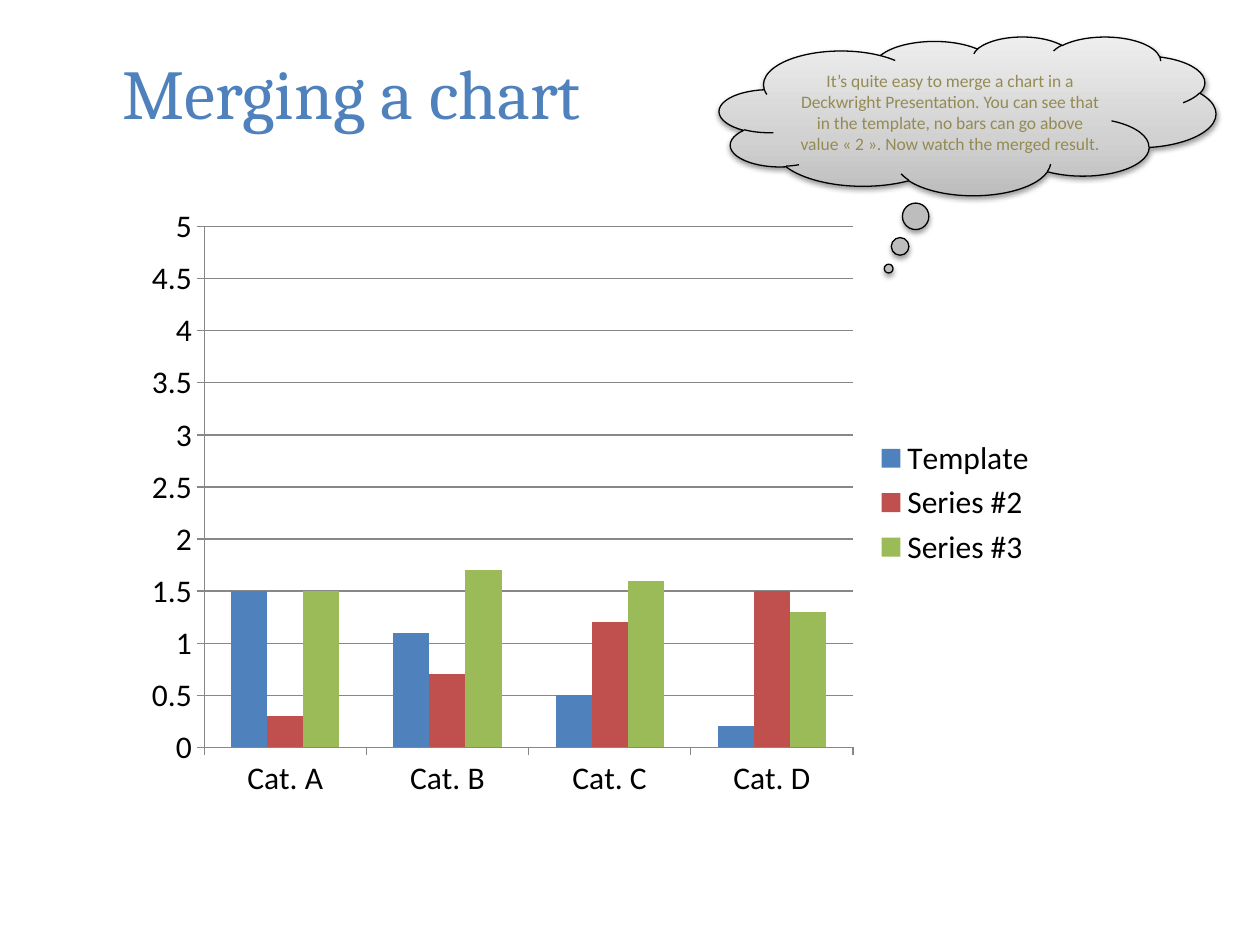
from lxml.etree import SubElement
from pptx import Presentation
from pptx.chart.data import CategoryChartData
from pptx.dml.color import RGBColor
from pptx.enum.chart import XL_CHART_TYPE, XL_LEGEND_POSITION, XL_TICK_MARK
from pptx.enum.shapes import MSO_SHAPE
from pptx.enum.text import MSO_ANCHOR, PP_ALIGN
from pptx.oxml import parse_xml
from pptx.oxml.ns import nsdecls, qn
from pptx.util import Inches, Pt

# Content
TITLE = "Merging a chart"
THOUGHT = ("It’s quite easy to merge a chart in a Deckwright Presentation. "
           "You can see that in the template, no bars can go above "
           "value « 2 ». Now watch the merged result.")
CATEGORIES = ["Cat. A", "Cat. B", "Cat. C", "Cat. D"]
SERIES = [
    ("Template", "4F81BD", (1.5, 1.1, 0.5, 0.2)),
    ("Series #2", "C0504D", (0.3, 0.7, 1.2, 1.5)),
    ("Series #3", "9BBB59", (1.5, 1.7, 1.6, 1.3)),
]

# Places and formats
TITLE_BOX = (0.5, 0.3, 4.58, 0.85)
CHART_BOX = (1.06, 1.55, 7.27, 4.88)
CLOUD_BOX = (5.71, 0.29, 3.94, 1.26)
CLOUD_TAIL = (-0.159, 0.962)
CLOUD_STOPS = [(0, "BDBDBD"), (35, "D1D1D1"), (100, "EEEEEE")]
TITLE_FONT = {"name": "Cambria", "size": Pt(40)}
CHART_FONT = {"name": "Calibri", "size": Pt(18)}
CLOUD_FONT = {"name": "Calibri", "size": Pt(10)}
VALUE_SCALE = {"minimum_scale": 0, "maximum_scale": 5, "major_unit": 0.5,
               "has_major_gridlines": True}


def rgb(value):
    return RGBColor.from_string(value)


def inches(box):
    return [Inches(v) for v in box]


def apply(obj, values):
    for name, value in values.items():
        setattr(obj, name, value)


def style_font(font, values, color):
    apply(font, values)
    font.color.rgb = rgb(color)


def style_line(line, color, width):
    line.color.rgb = rgb(color)
    line.width = Pt(width)


def write(sp, text, font, color):
    tf = sp.text_frame
    apply(tf, {"word_wrap": True, "vertical_anchor": MSO_ANCHOR.MIDDLE})
    p = tf.paragraphs[0]
    p.alignment = PP_ALIGN.CENTER
    r = p.add_run()
    r.text = text
    style_font(r.font, font, color)


def fill_gradient(sp, stops, angle):
    sp.fill.gradient()
    grad = sp._element.spPr.find(qn("a:gradFill"))
    gs_list = grad.find(qn("a:gsLst"))
    for gs in list(gs_list):
        gs_list.remove(gs)
    for pos, color in stops:
        gs = SubElement(gs_list, qn("a:gs"), pos=str(pos * 1000))
        SubElement(gs, qn("a:srgbClr"), val=color)
    grad.find(qn("a:lin")).set("ang", str(angle * 60000))


def add_shadow(sp, color, alpha, blur, dist, angle):
    sp.shadow.inherit = False
    effects = sp._element.spPr.find(qn("a:effectLst"))
    effects.append(parse_xml(
        f'<a:outerShdw {nsdecls("a")} blurRad="{Pt(blur)}" dist="{Pt(dist)}" '
        f'dir="{angle * 60000}" rotWithShape="0"><a:srgbClr val="{color}">'
        f'<a:alpha val="{alpha * 1000}"/></a:srgbClr></a:outerShdw>'))


prs = Presentation()
prs.slide_width, prs.slide_height = Inches(10), Inches(7.5)
s = prs.slides.add_slide(prs.slide_layouts[5])

# Title
title = s.shapes.title
apply(title, dict(zip(("left", "top", "width", "height"), inches(TITLE_BOX))))
write(title, TITLE, TITLE_FONT, "4F81BD")

# Column chart
data = CategoryChartData()
data.categories = CATEGORIES
for name, _, values in SERIES:
    data.add_series(name, values)
chart = s.shapes.add_chart(XL_CHART_TYPE.COLUMN_CLUSTERED,
                           *inches(CHART_BOX), data).chart
chart.has_title = False
style_font(chart.font, CHART_FONT, "000000")
chart.has_legend = True
apply(chart.legend, {"position": XL_LEGEND_POSITION.RIGHT,
                     "include_in_layout": False})
apply(chart.value_axis, VALUE_SCALE)
style_line(chart.value_axis.major_gridlines.format.line, "878787", 0.75)
for axis in (chart.category_axis, chart.value_axis):
    axis.major_tick_mark = XL_TICK_MARK.OUTSIDE
    style_line(axis.format.line, "878787", 0.75)

plot = chart.plots[0]
apply(plot, {"gap_width": 150, "vary_by_categories": False})
for series, (_, color, _) in zip(plot.series, SERIES):
    series.format.fill.solid()
    series.format.fill.fore_color.rgb = rgb(color)

# Thought cloud
cloud = s.shapes.add_shape(MSO_SHAPE.CLOUD_CALLOUT, *inches(CLOUD_BOX))
for i, value in enumerate(CLOUD_TAIL):
    cloud.adjustments[i] = value
fill_gradient(cloud, CLOUD_STOPS, 270)
style_line(cloud.line, "000000", 0.75)
add_shadow(cloud, "000000", alpha=38, blur=3.1, dist=1.6, angle=90)
write(cloud, THOUGHT, CLOUD_FONT, "948A54")

prs.save("out.pptx")
